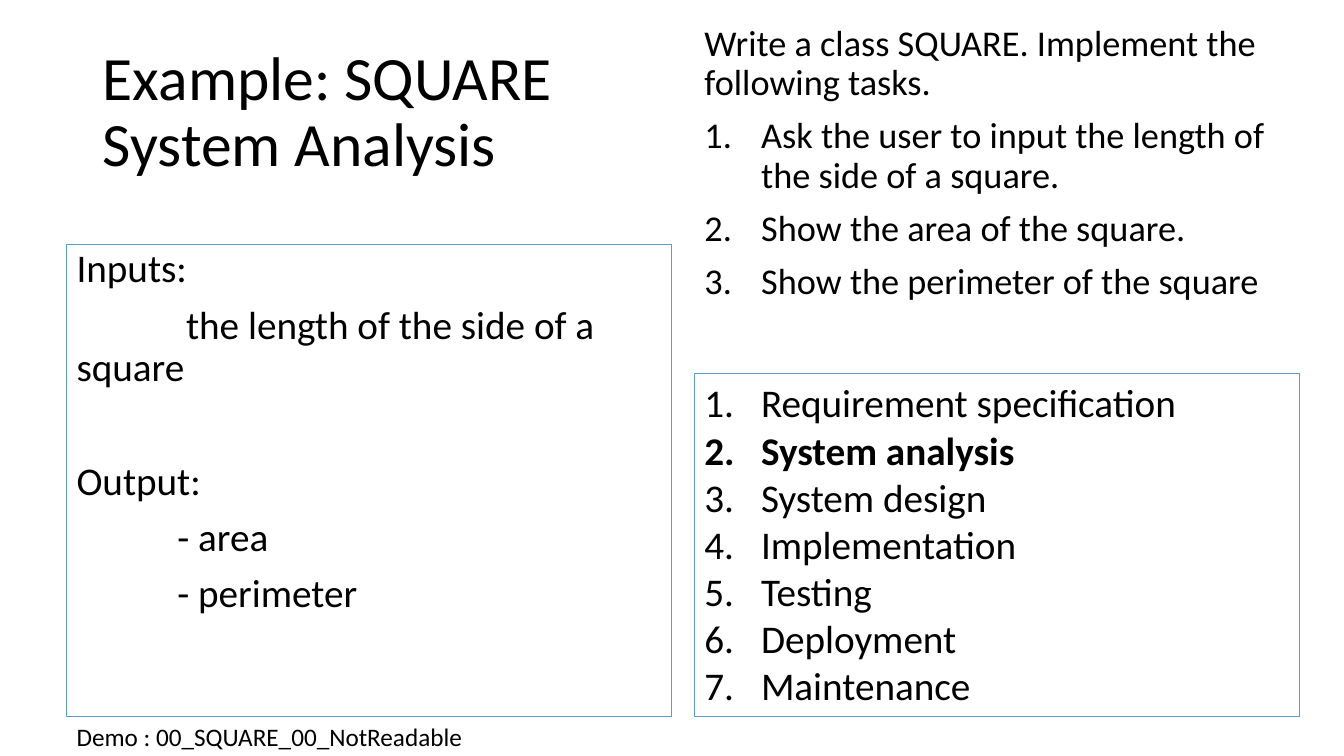
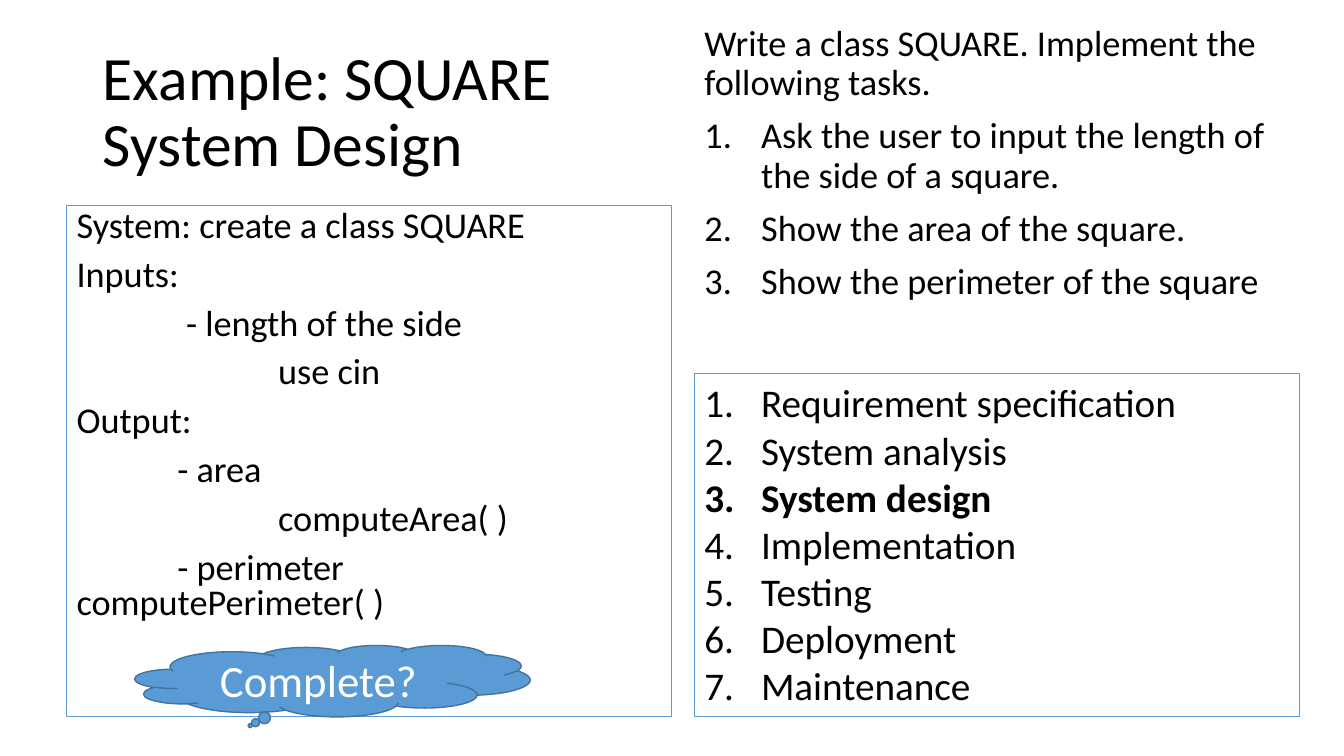
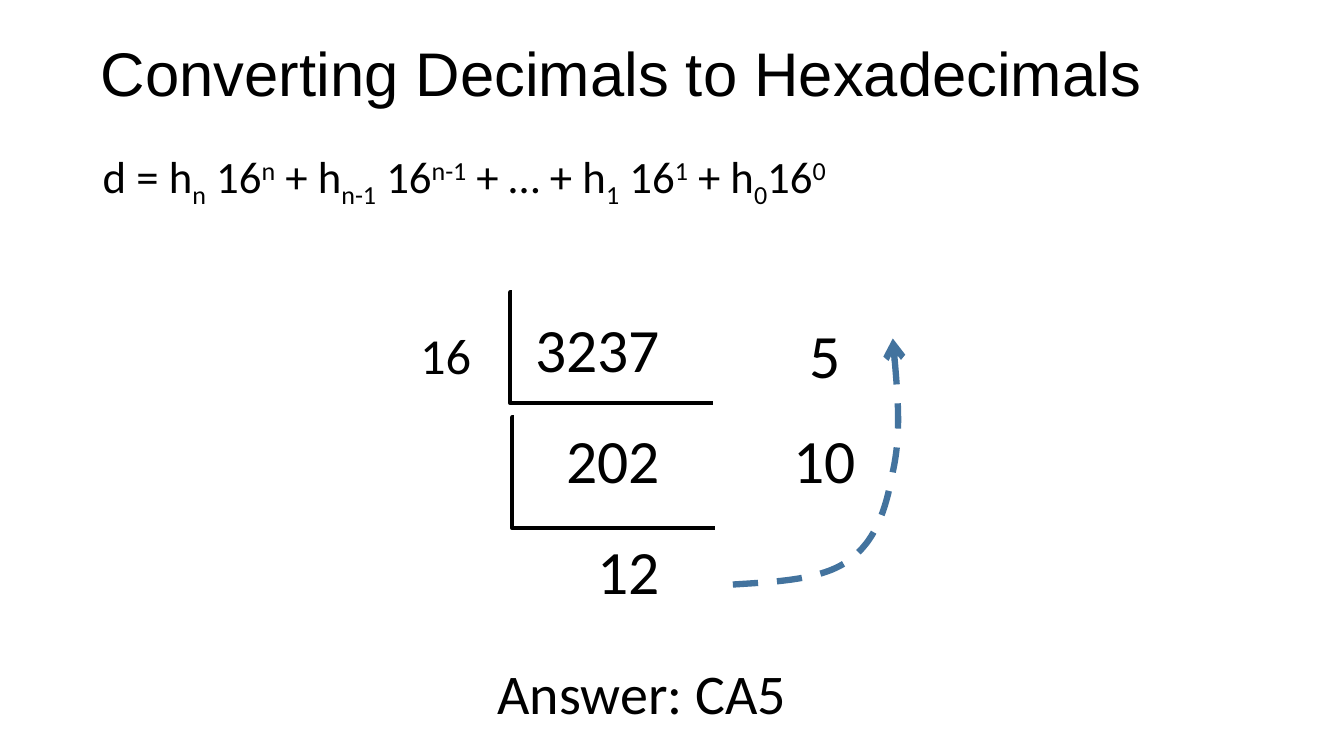
from lxml.etree import SubElement
from pptx import Presentation
from pptx.dml.color import RGBColor
from pptx.enum.dml import MSO_LINE
from pptx.enum.shapes import MSO_CONNECTOR, MSO_SHAPE
from pptx.enum.text import MSO_ANCHOR, MSO_AUTO_SIZE, PP_ALIGN
from pptx.oxml.ns import qn
from pptx.util import Cm, Pt

BLACK, WHITE, BLUE, DARK_BLUE = "000000", "FFFFFF", "5B9BD5", "43739E"
LEFT_EDGE, RIGHT_EDGE, BOX_WIDTH, BOX_BOTTOM = 1.68, 17.5, 15.24, 18.05
TAB, HANG = 2.54, 1.43

TASK_INTRO = "Write a class SQUARE. Implement the following tasks."
TASKS = [
    "Ask the user to input the length of the side of a square.",
    "Show the area of the square.",
    "Show the perimeter of the square",
]
STEPS = ["Requirement specification", "System analysis", "System design",
         "Implementation", "Testing", "Deployment", "Maintenance"]

EXAMPLES = [
    {"title": "Example: SQUARE\vSystem Analysis", "step": "System analysis",
     "top": 6.15, "size": 28, "spacing": 0.9,
     "notes": [("Inputs:", 0, 10),
               ("the length of the side of a square", TAB + 0.22, 10),
               ("Output:", 0, 50.8),
               ("- area", TAB, 10),
               ("- perimeter", TAB, 10)],
     "demo": "Demo : 00_SQUARE_00_NotReadable"},
    {"title": "Example: SQUARE\vSystem Design", "step": "System design",
     "top": 5.18, "size": 25.9, "spacing": 0.8,
     "notes": [("System: create a class SQUARE", 0, 10),
               ("Inputs:", 0, 10),
               ("- length of the side", TAB + 0.22, 10),
               ("use cin", 2 * TAB, 10),
               ("Output:", 0, 10),
               ("- area", TAB, 10),
               ("computeArea( )", 2 * TAB, 10),
               ("- perimeter\vcomputePerimeter( )", TAB, 10)],
     "question": "Complete?"},
]

HEX_TITLE = "Converting Decimals to Hexadecimals"
FORMULA = [("d = h", 0), ("n", -25), (" 16", 0), ("n", 30),
           (" + h", 0), ("n-1", -25), (" 16", 0), ("n-1", 30),
           (" + … + h", 0), ("1", -25), (" 16", 0), ("1", 30),
           (" + h", 0), ("0", -25), ("16", 0), ("0", 30)]
QUOTIENTS = [("3237", 3.68), ("202", 2.9), ("12", 2.11)]
REMAINDERS = [("5", 1.3, 7.87), ("10", 2.11, 10.52)]
BRACKETS = [(12.9, 7.37), (12.95, 10.52)]
READING_CURVE = [(18.47, 14.73), (19.58, 14.66), (20.73, 14.61), (21.39, 14.12),
                 (22.07, 13.64), (22.33, 12.83), (22.5, 11.89),
                 (22.71, 10.95), (22.61, 9.73), (22.5, 8.53)]


def rgb(value):
    return RGBColor.from_string(value)


def place(shape, left, top, width, height):
    shape.left, shape.top = Cm(left), Cm(top)
    shape.width, shape.height = Cm(width), Cm(height)


def prepare(frame, anchor=MSO_ANCHOR.TOP, wrap=True):
    frame.auto_size = MSO_AUTO_SIZE.NONE
    frame.word_wrap = wrap
    frame.vertical_anchor = anchor


def next_paragraph(frame):
    if frame.paragraphs[0].text:
        return frame.add_paragraph()
    return frame.paragraphs[0]


def style(paragraph, size, color=BLACK, name="Calibri", bold=False,
          spacing=1.0, before=0, align=PP_ALIGN.LEFT):
    paragraph.alignment = align
    paragraph.line_spacing = spacing
    paragraph.space_before = Pt(before)
    paragraph.font.size = Pt(size)
    paragraph.font.name = name
    paragraph.font.bold = bold
    paragraph.font.color.rgb = rgb(color)


def write(frame, text, size, margin=0, indent=0, numbered=False, **look):
    paragraph = next_paragraph(frame)
    paragraph.text = text
    properties = paragraph._p.get_or_add_pPr()
    properties.set("marL", str(Cm(margin)))
    properties.set("indent", str(Cm(indent)))
    if numbered:
        SubElement(properties, qn("a:buFont"), typeface="+mj-lt")
        SubElement(properties, qn("a:buAutoNum"), type="arabicPeriod")
    else:
        SubElement(properties, qn("a:buNone"))
    style(paragraph, size, **look)


def write_numbered(frame, text, size, **look):
    write(frame, text, size, HANG, -HANG, True, **look)


def add_title(slide, text, left, top, name="Calibri"):
    title = slide.shapes.title
    place(title, left, top, 29.21, 3.68)
    prepare(title.text_frame, MSO_ANCHOR.MIDDLE)
    write(title.text_frame, text, 44, name=name, spacing=0.9)


def add_text(slide, text, left, top, width, height, size, wrap=False):
    box = slide.shapes.add_textbox(Cm(left), Cm(top), Cm(width), Cm(height))
    prepare(box.text_frame, wrap=wrap)
    if text:
        write(box.text_frame, text, size)
    return box.text_frame


def add_frame(slide, left, top):
    box = slide.shapes.add_shape(MSO_SHAPE.RECTANGLE, Cm(left), Cm(top),
                                 Cm(BOX_WIDTH), Cm(BOX_BOTTOM - top))
    box.shadow.inherit = False
    box.fill.background()
    box.line.color.rgb = rgb(BLUE)
    box.line.width = Pt(0.75)
    prepare(box.text_frame)
    return box.text_frame


def add_cloud(slide, text):
    cloud = slide.shapes.add_shape(MSO_SHAPE.CLOUD_CALLOUT, Cm(3.4), Cm(16.26),
                                   Cm(9.96), Cm(1.8))
    cloud.shadow.inherit = False
    cloud.fill.solid()
    cloud.fill.fore_color.rgb = rgb(BLUE)
    cloud.line.color.rgb = rgb(DARK_BLUE)
    cloud.line.width = Pt(1)
    prepare(cloud.text_frame, MSO_ANCHOR.MIDDLE)
    write(cloud.text_frame, text, 32, color=WHITE, align=PP_ALIGN.CENTER)


def add_bracket(slide, left, top):
    bracket = slide.shapes.add_connector(MSO_CONNECTOR.ELBOW, Cm(left), Cm(top),
                                         Cm(left + 5.08), Cm(top + 2.79))
    bracket.line.color.rgb = rgb(BLACK)
    bracket.line.width = Pt(3)
    properties = bracket._element.spPr
    SubElement(properties, qn("a:effectLst"))
    guides = properties.find(qn("a:prstGeom")).find(qn("a:avLst"))
    SubElement(guides, qn("a:gd"), name="adj1", fmla="val -800")


def add_curved_arrow(slide, points):
    start, *controls = [(Cm(x), Cm(y)) for x, y in points]
    builder = slide.shapes.build_freeform(*start)
    builder.add_line_segments(controls, close=False)
    arrow = builder.convert_to_shape()
    segments = list(arrow._element.iter(qn("a:lnTo")))
    outline = segments[0].getparent()
    for first in range(0, len(segments), 3):
        curve = SubElement(outline, qn("a:cubicBezTo"))
        for segment in segments[first:first + 3]:
            curve.append(segment[0])
            outline.remove(segment)
    arrow.shadow.inherit = False
    arrow.fill.background()
    arrow.line.color.rgb = rgb(DARK_BLUE)
    arrow.line.width = Pt(4.5)
    arrow.line.dash_style = MSO_LINE.DASH
    SubElement(arrow.line._get_or_add_ln(), qn("a:tailEnd"), type="arrow")


def build_example(presentation, example):
    slide = presentation.slides.add_slide(presentation.slide_layouts[1])
    add_title(slide, example["title"], 2.34, 1.02)

    body = slide.placeholders[1]
    place(body, RIGHT_EDGE, 0.51, BOX_WIDTH, 7.49)
    prepare(body.text_frame)
    write(body.text_frame, TASK_INTRO, 25.9, spacing=0.9, before=10)
    for task in TASKS:
        write_numbered(body.text_frame, task, 25.9, spacing=0.9, before=10)

    steps = add_frame(slide, RIGHT_EDGE, 9.42)
    for step in STEPS:
        write_numbered(steps, step, 28, bold=step == example["step"])

    notes = add_frame(slide, LEFT_EDGE, example["top"])
    for text, indent, before in example["notes"]:
        write(notes, text, example["size"], indent=indent,
              spacing=example["spacing"], before=before)

    if "demo" in example:
        add_text(slide, example["demo"], LEFT_EDGE, 18.06, 13.41, 1.02, 18, True)
    if "question" in example:
        add_cloud(slide, example["question"])


def build_conversion(presentation):
    slide = presentation.slides.add_slide(presentation.slide_layouts[5])
    add_title(slide, HEX_TITLE, 2.29, 0.1, "Arial")

    formula = add_text(slide, "", 2.34, 3.63, 23.42, 1.63, 32, True).paragraphs[0]
    for text, baseline in FORMULA:
        run = formula.add_run()
        run.text = text
        if baseline:
            run._r.get_or_add_rPr().set("baseline", str(baseline * 1000))
    style(formula, 32)

    add_text(slide, "16", 10.34, 8.05, 1.8, 1.8, 36)
    for row, (number, width) in enumerate(QUOTIENTS):
        add_text(slide, number, 16.92 - width, 7.7 + 2.8 * row, width, 2.13, 44)
    for number, width, top in REMAINDERS:
        add_text(slide, number, 20.8 - width / 2, top, width, 2.13, 44)
    for left, top in BRACKETS:
        add_bracket(slide, left, top)
    add_curved_arrow(slide, READING_CURVE)
    add_text(slide, "Answer: CA5", 12.29, 16.48, 7.85, 1.96, 40)


presentation = Presentation()
presentation.slide_width, presentation.slide_height = Cm(33.87), Cm(19.05)
for example in EXAMPLES:
    build_example(presentation, example)
build_conversion(presentation)
presentation.save("out.pptx")
